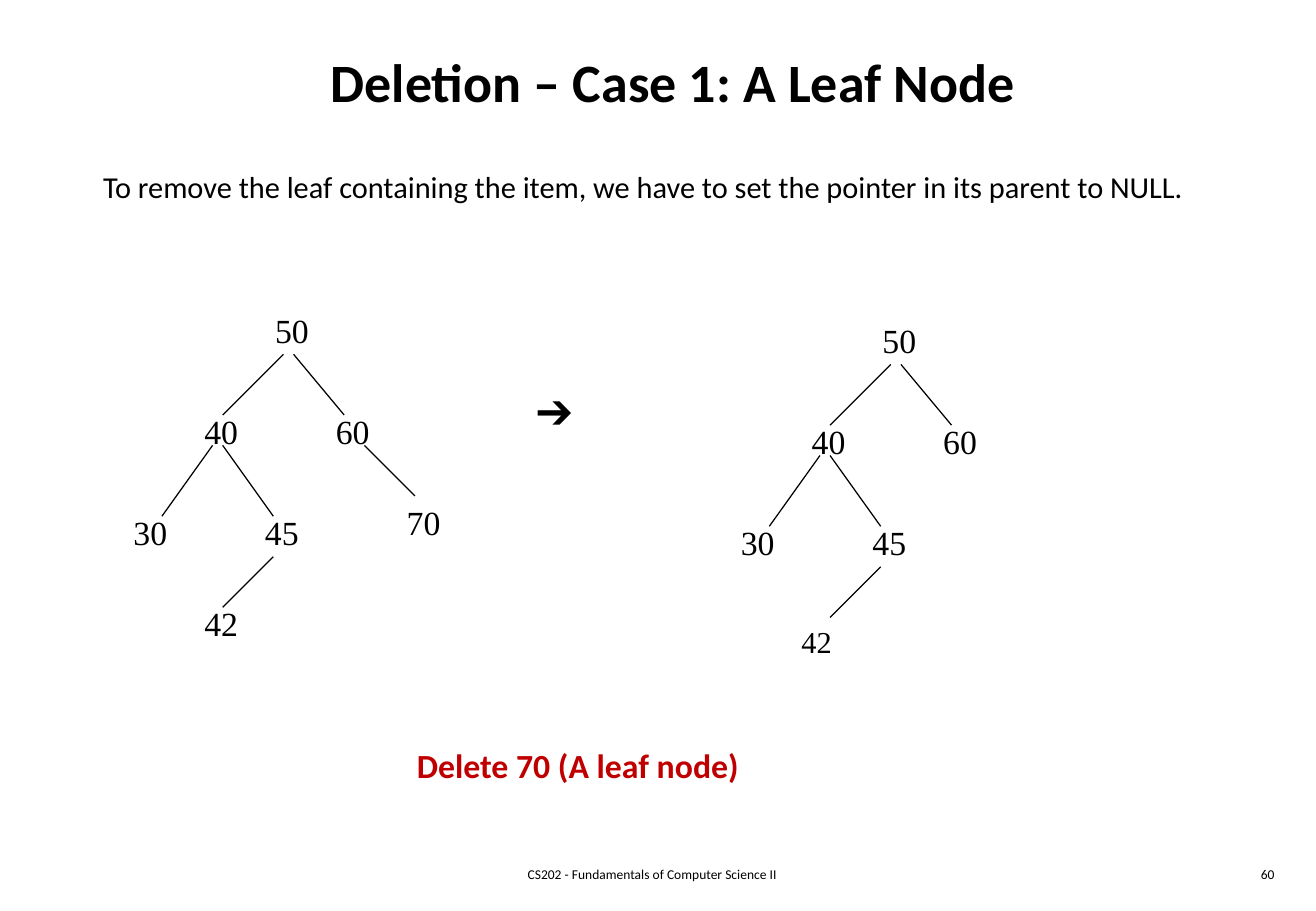
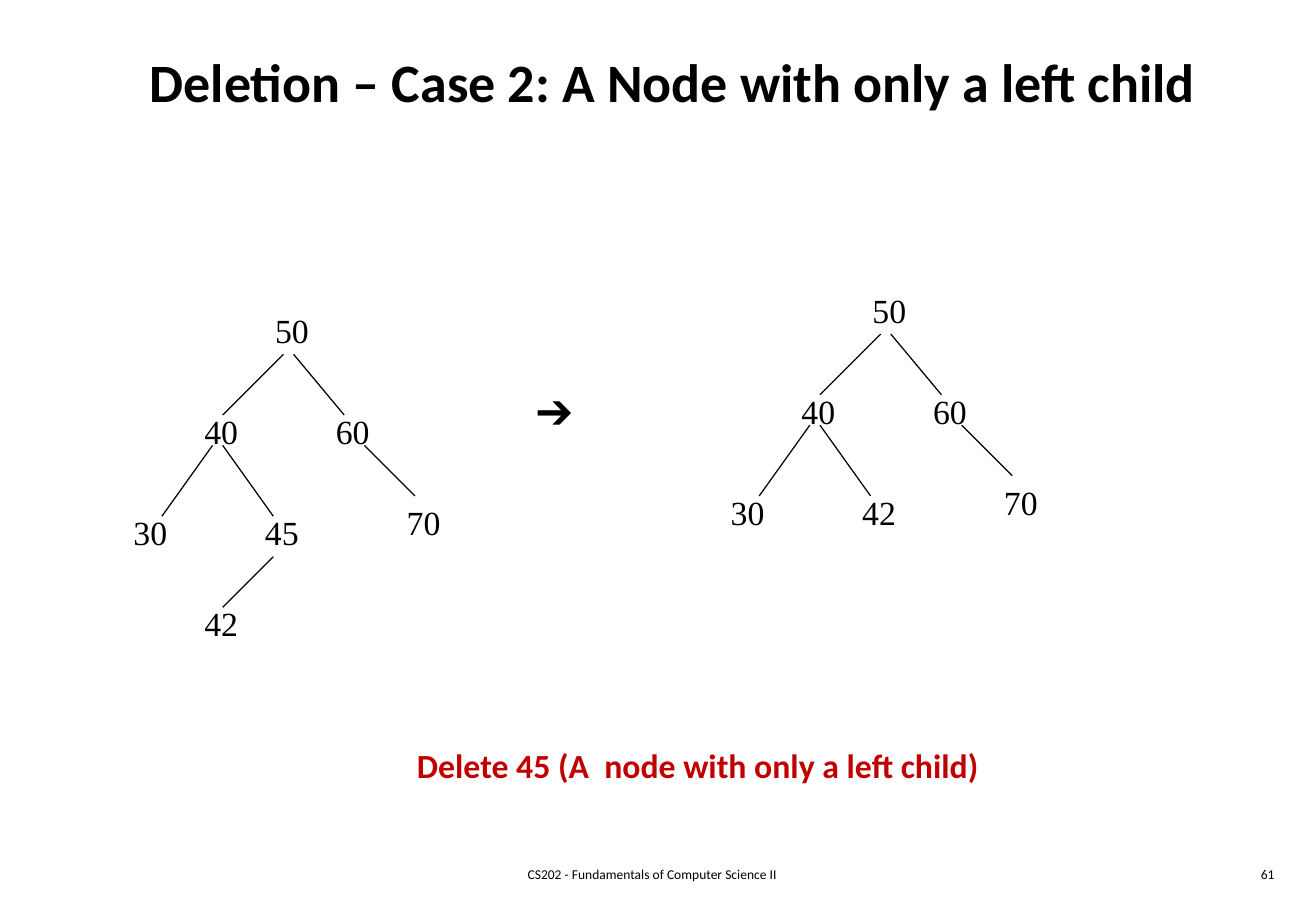
import pptx
import pptx.util
import pptx.dml.color
import pptx.enum.shapes
import pptx.enum.text
import pptx.oxml.ns
import lxml.etree

# The slide is a grid of 130 columns by 90 rows, twelve cells to the inch.
COLS, ROWS, CELL = 130, 90, pptx.util.Inches(1) / 12
COLORS = {"ink": "000000", "accent": "C00000", "paper": "FFFFFF"}
SANS, SERIF = "Calibri", "Times New Roman"
ALIGN = pptx.enum.text.PP_ALIGN
ANCHOR = pptx.enum.text.MSO_ANCHOR

TITLE_BOX = (5, 2, 123, 12)
INTRO_BOX = (9, 16, 110.3, 4.8)
ARROW_BOX = (51.8, 37.6, 6.7, 6)
FOOTER_BOX = (40.1, 85, 48.7, 3)
NUMBER_BOX = (100, 85, 27.1, 3)

# Each position in a tree: label corner, then the edge from its parent,
# in cells from the corner of the tree.
POSITIONS = {
    "root": ((14, 0), None),
    "left": ((7, 10), (16, 5, 10, 11)),
    "right": ((20, 10), (17, 5, 22, 11)),
    "left.left": ((0, 20), (9, 14, 4, 21)),
    "left.right": ((13, 20), (10, 14, 15, 21)),
    "right.right": ((27, 19), (24, 14, 29, 19)),
    "left.right.left": ((7, 29), (15, 25, 10, 30)),
}
SMALL_TREE = {"root": "50", "left": "40", "right": "60", "left.left": "30"}
FULL_TREE = {**SMALL_TREE, "left.right": "45", "right.right": "70",
             "left.right.left": "42"}


def grid(*cells):
    """Turn cell counts into slide lengths."""
    return [pptx.util.Emu(round(c * CELL)) for c in cells]


def rgb(name):
    """Look up a named colour."""
    return pptx.dml.color.RGBColor.from_string(COLORS[name])


def label_extent(size):
    """Give the cells a two-digit label needs: fixed margins plus its text."""
    return 2.4 + 0.17 * size, 1.2 + 0.2 * size


def add_text(shapes, text, box, size=20, font=SANS, color="ink", bold=False,
             align=ALIGN.LEFT, anchor=ANCHOR.TOP, wrap=False):
    """Add a text box; one that does not wrap grows with its text."""
    s = shapes.add_textbox(*grid(*box))
    tf = s.text_frame
    tf.word_wrap = wrap
    sizing = pptx.enum.text.MSO_AUTO_SIZE
    tf.auto_size = sizing.NONE if wrap else sizing.SHAPE_TO_FIT_TEXT
    tf.vertical_anchor = anchor
    p = tf.paragraphs[0]
    p.alignment = align
    r = p.add_run()
    r.text = text
    r.font.size = pptx.util.Pt(size)
    r.font.name = font
    r.font.bold = bold
    r.font.color.rgb = rgb(color)


def add_edge(shapes, ends):
    """Draw a thin line between two grid points."""
    kind = pptx.enum.shapes.MSO_CONNECTOR.STRAIGHT
    s = shapes.add_connector(kind, *grid(*ends))
    s.line.color.rgb = rgb("ink")
    s.line.width = pptx.util.Pt(0.75)
    lxml.etree.SubElement(s._element.spPr, pptx.oxml.ns.qn("a:effectLst"))


def add_tree(slide, corner, nodes, adjusted=None):
    """Draw a grouped tree; adjusted maps a position to (dx, dy, size)."""
    x, y = corner
    shapes = slide.shapes.add_group_shape().shapes
    for position in nodes:
        edge = POSITIONS[position][1]
        if edge:
            x1, y1, x2, y2 = edge
            add_edge(shapes, (x + x1, y + y1, x + x2, y + y2))
    for position, key in nodes.items():
        left, top = POSITIONS[position][0]
        dx, dy, size = (adjusted or {}).get(position, (0, 0, 20))
        box = (x + left + dx, y + top + dy, *label_extent(size))
        add_text(shapes, key, box, size=size, font=SERIF)


def add_frame(slide, title, number):
    """Add the background, title and footer that the slides share."""
    fill = slide.background.fill
    fill.solid()
    fill.fore_color.rgb = rgb("paper")
    add_text(slide.shapes, "CS202 - Fundamentals of Computer Science II",
             FOOTER_BOX, size=8, align=ALIGN.CENTER, wrap=True)
    add_text(slide.shapes, str(number), NUMBER_BOX, size=8,
             align=ALIGN.RIGHT, wrap=True)
    add_text(slide.shapes, title, TITLE_BOX, size=32, bold=True,
             align=ALIGN.CENTER, anchor=ANCHOR.MIDDLE, wrap=True)


def add_deletion_slide(prs, number, title, caption, caption_width, corner,
                       result, adjusted=None, intro=None):
    """Show the tree before and after a deletion, with a caption."""
    slide = prs.slides.add_slide(prs.slide_layouts[6])
    add_frame(slide, title, number)
    if intro:
        add_text(slide.shapes, intro, INTRO_BOX, size=18)
    add_tree(slide, (12, 30), FULL_TREE)
    add_text(slide.shapes, "\u2794", ARROW_BOX, size=24, font=SERIF)
    add_tree(slide, corner, result, adjusted)
    add_text(slide.shapes, caption, (40, 73, caption_width, 5.3),
             color="accent", bold=True)


prs = pptx.Presentation()
prs.slide_width, prs.slide_height = grid(COLS, ROWS)
add_deletion_slide(
    prs, 60, "Deletion \u2013 Case 1: A Leaf Node",
    "Delete 70 (A leaf node)", 34.6, (72, 31),
    {**SMALL_TREE, "left.right": "45", "left.right.left": "42"},
    adjusted={"left.right.left": (-1, 1, 18)},
    intro="To remove the leaf containing the item, we have to set the "
          "pointer in its parent to NULL.")
add_deletion_slide(
    prs, 61, "Deletion \u2013 Case 2: A Node with only a left child",
    "Delete 45 (A  node with only a left child)", 58.4, (71, 28),
    {**SMALL_TREE, "left.right": "42", "right.right": "70"})
prs.save("out.pptx")
